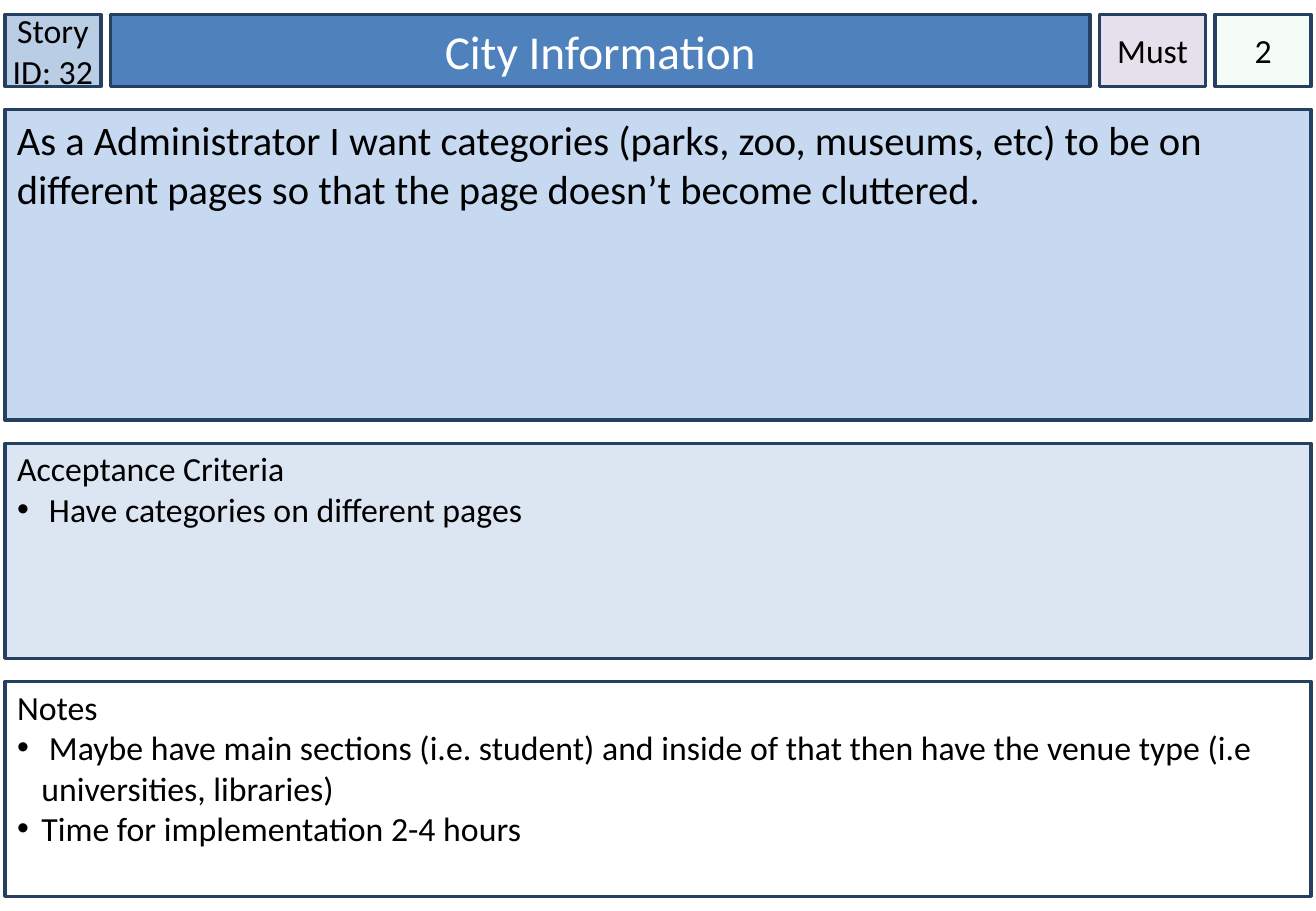
from dataclasses import dataclass

from lxml import etree
from pptx import Presentation
from pptx.dml.color import RGBColor
from pptx.enum.shapes import MSO_SHAPE
from pptx.enum.text import MSO_ANCHOR, MSO_AUTO_SIZE, PP_ALIGN
from pptx.oxml.ns import qn
from pptx.util import Inches, Pt

RECT = MSO_SHAPE.RECTANGLE
TOP, MIDDLE = MSO_ANCHOR.TOP, MSO_ANCHOR.MIDDLE
LEFT, CENTER = PP_ALIGN.LEFT, PP_ALIGN.CENTER
FIXED = MSO_AUTO_SIZE.NONE


@dataclass(frozen=True)
class Theme:
    """Colours, font and type sizes of the story card."""
    font: str = "Calibri"
    ink: str = "000000"
    light: str = "FFFFFF"
    edge: str = "254061"
    title: str = "4F81BD"
    ident: str = "B9CDE5"
    rank: str = "E6E0EC"
    points: str = "CCF0CD"
    story: str = "C6D9F1"
    tests: str = "DCE6F2"
    notes: str = "FFFFFF"
    head: int = 28
    lead: int = 24
    text: int = 20
    rule: int = 2


THEME = Theme()


def paint(shape, box, fill, anchor, pads):
    """Place a shape and set its fill, border and text frame."""
    shape.left, shape.top, shape.width, shape.height = map(Inches, box)
    shape.shadow.inherit = False
    shape.fill.solid()
    shape.fill.fore_color.rgb = RGBColor.from_string(fill)
    shape.line.color.rgb = RGBColor.from_string(THEME.edge)
    shape.line.width = Pt(THEME.rule)
    frame = shape.text_frame
    frame.word_wrap = True
    frame.auto_size = FIXED
    frame.vertical_anchor = anchor
    side, top = map(Inches, pads)
    frame.margin_left = frame.margin_right = side
    frame.margin_top, frame.margin_bottom = top, Inches(0.05)


def write(para, text, size, color=THEME.ink, align=LEFT):
    """Add one styled run to a paragraph."""
    para.alignment = align
    para.space_before = Pt(0)
    run = para.add_run()
    run.text = text
    run.font.name = THEME.font
    run.font.size = Pt(size)
    run.font.color.rgb = RGBColor.from_string(color)


def mark(para, char=None):
    """Give a paragraph a hanging bullet, or none."""
    props = para._p.get_or_add_pPr()
    hang = Inches(0.2) if char else 0
    props.set("marL", str(hang))
    props.set("indent", str(-hang))
    if char:
        font = etree.SubElement(props, qn("a:buFont"))
        font.set("typeface", "Arial")
        etree.SubElement(props, qn("a:buChar")).set("char", char)
    else:
        etree.SubElement(props, qn("a:buNone"))


def fade(shape, share):
    """Set the opacity of a solid fill in percent."""
    color = shape.fill._xPr.find(qn("a:solidFill"))[0]
    etree.SubElement(color, qn("a:alpha")).set("val", str(share * 1000))


def badge(slide, box, text, fill):
    """Draw a small centred label box."""
    shape = slide.shapes.add_shape(RECT, *map(Inches, box))
    paint(shape, box, fill, MIDDLE, (0, 0.05))
    write(shape.text_frame.paragraphs[0], text, THEME.text, align=CENTER)
    return shape


def header(slide, box):
    """Fill the top row: story number, title, rank and points."""
    left, top, width, height = box
    small, rank, gap = 0.79, 0.87, 0.08
    end = left + width - small
    mid = end - gap - rank
    start = left + small + gap
    badge(slide, (left, top, small, height), "Story ID: 32", THEME.ident)
    title = slide.shapes.title
    span = (start, top, mid - gap - start, height)
    paint(title, span, THEME.title, MIDDLE, (0.1, 0.05))
    write(title.text_frame.paragraphs[0], "City Information",
          THEME.head, THEME.light, CENTER)
    badge(slide, (mid, top, rank, height), "Must", THEME.rank)
    points = badge(slide, (end, top, small, height), "2", THEME.points)
    fade(points, 20)


def story(slide, box):
    """Draw the user story panel."""
    shape = slide.shapes.add_shape(RECT, *map(Inches, box))
    paint(shape, box, THEME.story, TOP, (0.1, 0.05))
    write(shape.text_frame.paragraphs[0],
          "As a Administrator I want categories (parks, zoo, museums, etc) "
          "to be on different pages so that the page doesn’t become "
          "cluttered.", THEME.lead)


def panel(holder, box, fill, head, items):
    """Fill a body placeholder with a heading and bullets."""
    paint(holder, box, fill, TOP, (0.1, 0.04))
    frame = holder.text_frame
    para = frame.paragraphs[0]
    write(para, head, THEME.text)
    mark(para)
    for item in items:
        para = frame.add_paragraph()
        write(para, item, THEME.text)
        mark(para, "•")


def card(deck):
    """Build the story card slide."""
    slide = deck.slides.add_slide(deck.slide_layouts[3])
    holders = {h.placeholder_format.idx: h for h in slide.placeholders}
    left, width = 0.04, 10.75
    header(slide, (left, 0.12, width, 0.59))
    story(slide, (left, 0.9, width, 2.56))
    panel(holders[1], (left, 3.65, width, 1.77), THEME.tests,
          "Acceptance Criteria", [" Have categories on different pages"])
    panel(holders[2], (left, 5.61, width, 1.77), THEME.notes, "Notes",
          [" Maybe have main sections (i.e. student) and inside of that then "
           "have the venue type (i.e universities, libraries)",
           "Time for implementation 2-4 hours"])


deck = Presentation()
deck.slide_width, deck.slide_height = Inches(10.83), Inches(7.5)
card(deck)
deck.save("out.pptx")
